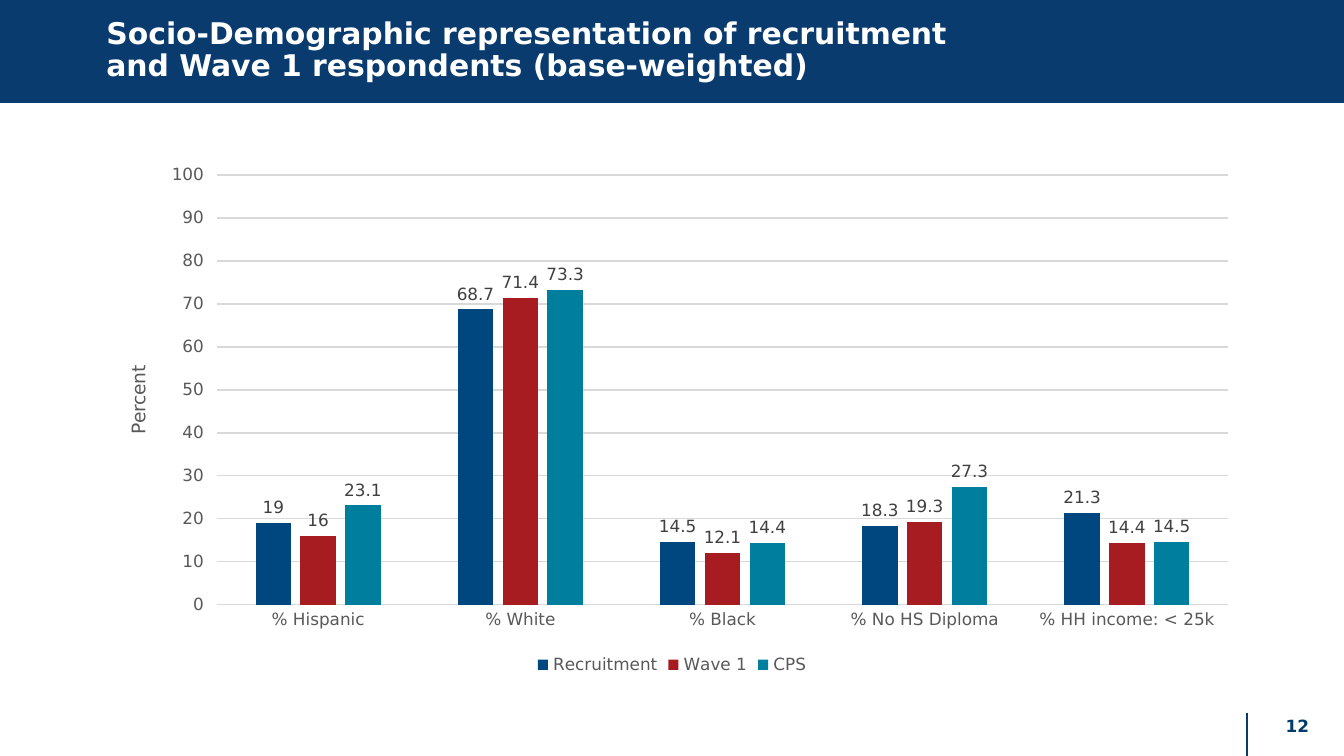
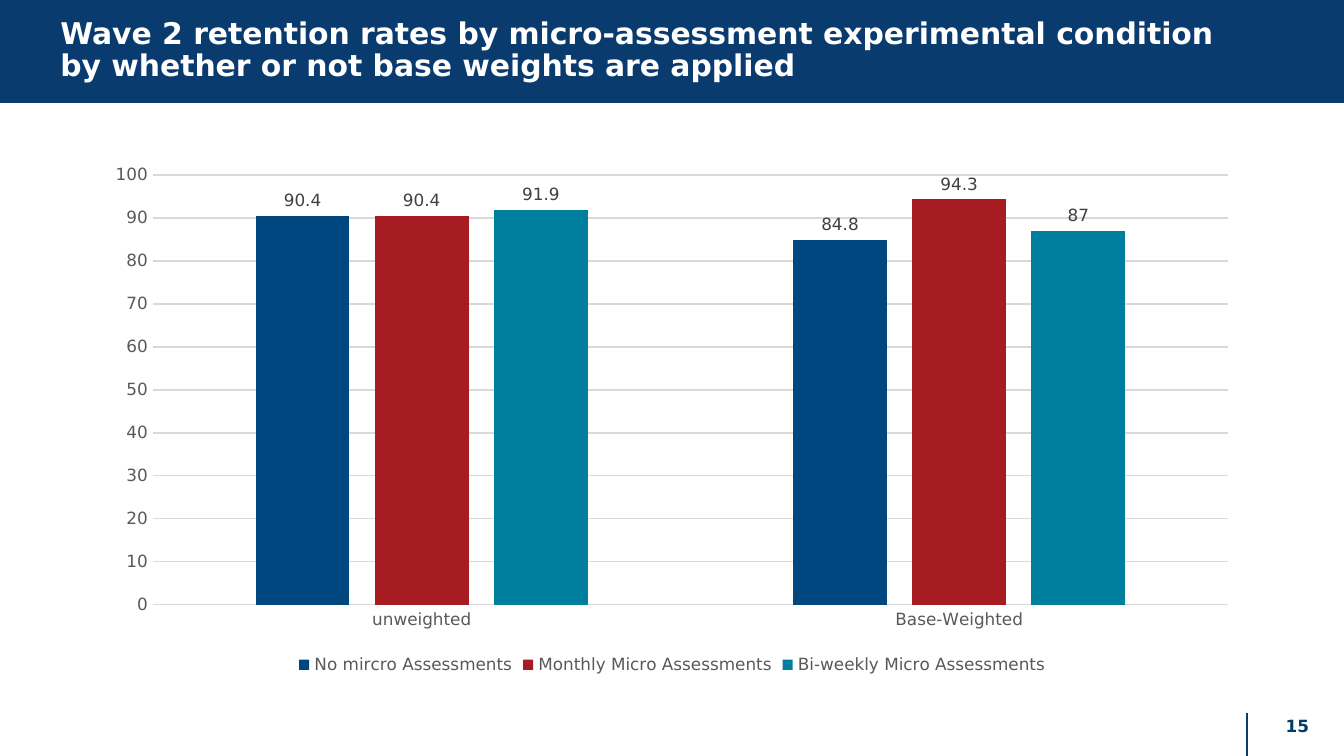
from lxml.etree import SubElement
from pptx import Presentation
from pptx.chart.data import CategoryChartData
from pptx.dml.color import RGBColor
from pptx.enum.chart import XL_CHART_TYPE, XL_LABEL_POSITION, XL_LEGEND_POSITION, XL_TICK_MARK
from pptx.enum.shapes import MSO_CONNECTOR, MSO_SHAPE
from pptx.enum.text import MSO_ANCHOR, MSO_AUTO_SIZE, PP_ALIGN
from pptx.oxml.ns import qn
from pptx.util import Emu, Pt

FONT = "DejaVu Sans"
NAVY = RGBColor(0x0A, 0x3B, 0x6F)
PAGE_BLUE = RGBColor(0x00, 0x3C, 0x68)
WHITE = RGBColor(0xFF, 0xFF, 0xFF)
BLACK = RGBColor(0x00, 0x00, 0x00)
AXIS_GREY = RGBColor(0x59, 0x59, 0x59)
LABEL_GREY = RGBColor(0x40, 0x40, 0x40)
GRID_GREY = RGBColor(0xD9, 0xD9, 0xD9)
SERIES_COLORS = (
    RGBColor(0x00, 0x46, 0x7F),
    RGBColor(0xA7, 0x1C, 0x20),
    RGBColor(0x00, 0x7E, 0x9D),
)

SLIDE_WIDTH, SLIDE_HEIGHT = 1344, 756
CHART_LEFT, CHART_TOP, CHART_WIDTH, CHART_HEIGHT = 93, 155, 1158, 525
PLOT_TOP, PLOT_RIGHT, PLOT_BOTTOM = 175, 1228, 605


def px(length):
    """Turn pixels into EMU."""
    return Emu(round(length * 914400 / 134.4))


def style_font(font, size, color, bold=False):
    """Apply the deck typeface with a size and colour."""
    font.name = FONT
    font.size = Pt(size)
    font.bold = bold
    font.color.rgb = color


def style_line(line, color):
    """Give a line the thin stroke used in the deck."""
    line.color.rgb = color
    line.width = Pt(0.75)


def add_band(slide):
    """Put the navy header band behind the title."""
    band = slide.shapes.add_shape(MSO_SHAPE.RECTANGLE, 0, 0, px(SLIDE_WIDTH), px(103))
    band.shadow.inherit = False
    band.fill.solid()
    band.fill.fore_color.rgb = NAVY
    band.line.fill.background()
    slide.shapes.title.element.addprevious(band.element)


def set_title(slide, lines, left, width):
    """Place and fill the white title, breaking between given lines."""
    title = slide.shapes.title
    title.left, title.top, title.width, title.height = px(left), 0, px(width), px(102)
    frame = title.text_frame
    frame.auto_size = MSO_AUTO_SIZE.NONE
    frame.word_wrap = True
    frame.vertical_anchor = MSO_ANCHOR.MIDDLE
    paragraph = frame.paragraphs[0]
    paragraph.alignment = PP_ALIGN.LEFT
    paragraph.line_spacing = 0.9
    for index, line in enumerate(lines):
        if index:
            paragraph.add_line_break()
        run = paragraph.add_run()
        run.text = line
        style_font(run.font, 16, WHITE, bold=True)


def add_footer(slide, number):
    """Add the divider and page number at the lower right."""
    divider = slide.shapes.add_connector(
        MSO_CONNECTOR.STRAIGHT, px(1247), px(713), px(1247), px(SLIDE_HEIGHT))
    style_line(divider.line, NAVY)
    SubElement(divider.element.spPr, qn("a:effectLst"))
    page = slide.shapes.add_textbox(px(1251), px(706), px(93), px(40))
    frame = page.text_frame
    frame.word_wrap = True
    frame.vertical_anchor = MSO_ANCHOR.MIDDLE
    paragraph = frame.paragraphs[0]
    paragraph.alignment = PP_ALIGN.CENTER
    run = paragraph.add_run()
    run.text = str(number)
    style_font(run.font, 9, PAGE_BLUE, bold=True)


def set_layout(parent, left, top, right=None, bottom=None):
    """Fix a chart part at slide pixels, sized when right and bottom are given."""
    layout = parent.find(qn("c:layout"))
    if layout is None:
        layout = SubElement(parent, qn("c:layout"))
        parent.insert(0, layout)
    settings = [("xMode", "edge"), ("yMode", "edge"),
                ("x", round((left - CHART_LEFT) / CHART_WIDTH, 4)),
                ("y", round((top - CHART_TOP) / CHART_HEIGHT, 4))]
    if right is not None:
        settings.insert(0, ("layoutTarget", "inner"))
        settings += [("w", round((right - left) / CHART_WIDTH, 4)),
                     ("h", round((bottom - top) / CHART_HEIGHT, 4))]
    manual = SubElement(layout, qn("c:manualLayout"))
    for tag, value in settings:
        SubElement(manual, qn(f"c:{tag}")).set("val", str(value))


def add_axis_title(axis, text):
    """Add a rotated title beside the value axis."""
    axis.has_title = True
    frame = axis.axis_title.text_frame
    run = frame.paragraphs[0].add_run()
    run.text = text
    style_font(run.font, 10, AXIS_GREY)
    heading = axis.axis_title.element
    body = heading.find(f".//{qn('a:bodyPr')}")
    body.set("rot", "-5400000")
    body.set("vert", "horz")
    set_layout(heading, 123, 362)


def style_axes(chart, value_tick):
    """Format both axes on a scale of 0 to 100."""
    categories, values = chart.category_axis, chart.value_axis
    for axis, tick in ((categories, XL_TICK_MARK.NONE), (values, value_tick)):
        axis.major_tick_mark = tick
        axis.minor_tick_mark = XL_TICK_MARK.NONE
        style_font(axis.tick_labels.font, 9, AXIS_GREY)
    style_line(categories.format.line, GRID_GREY)
    values.format.line.fill.background()
    values.minimum_scale, values.maximum_scale, values.major_unit = 0, 100, 10
    values.has_major_gridlines = True
    style_line(values.major_gridlines.format.line, GRID_GREY)


def style_series(series, color):
    """Colour a series and show its values above the columns."""
    series.format.fill.solid()
    series.format.fill.fore_color.rgb = color
    series.invert_if_negative = False
    labels = series.data_labels
    labels.show_value = True
    labels.position = XL_LABEL_POSITION.OUTSIDE_END
    style_font(labels.font, 9, LABEL_GREY)


def add_column_chart(slide, categories, groups, plot_left, value_tick):
    """Add a clustered column chart with a legend below it."""
    data = CategoryChartData()
    data.categories = categories
    for name, values in groups.items():
        data.add_series(name, values)
    chart = slide.shapes.add_chart(
        XL_CHART_TYPE.COLUMN_CLUSTERED, px(CHART_LEFT), px(CHART_TOP),
        px(CHART_WIDTH), px(CHART_HEIGHT), data).chart
    style_font(chart.font, 10, BLACK)
    chart.has_title = False
    chart.has_legend = True
    chart.legend.position = XL_LEGEND_POSITION.BOTTOM
    chart.legend.include_in_layout = False
    style_font(chart.legend.font, 9, AXIS_GREY)
    columns = chart.plots[0]
    columns.vary_by_categories = False
    columns.gap_width = 219
    columns.overlap = -27
    for series, color in zip(columns.series, SERIES_COLORS):
        style_series(series, color)
    style_axes(chart, value_tick)
    set_layout(chart.element.find(f".//{qn('c:plotArea')}"),
               plot_left, PLOT_TOP, PLOT_RIGHT, PLOT_BOTTOM)
    return chart


def add_chart_slide(deck, title_lines, title_left, title_width, number):
    """Add a slide with the shared band, title and footer."""
    slide = deck.slides.add_slide(deck.slide_layouts[5])
    add_band(slide)
    set_title(slide, title_lines, title_left, title_width)
    add_footer(slide, number)
    return slide


def main():
    """Build and save the two chart slides."""
    deck = Presentation()
    deck.slide_width, deck.slide_height = px(SLIDE_WIDTH), px(SLIDE_HEIGHT)

    representation = add_chart_slide(
        deck,
        ["Socio-Demographic representation of recruitment",
         "and Wave 1 respondents (base-weighted)"],
        93, 1095, 12)
    demographics = add_column_chart(
        representation,
        ["% Hispanic", "% White", "% Black", "% No HS Diploma", "% HH income: < 25k"],
        {"Recruitment": (19, 68.7, 14.5, 18.3, 21.3),
         "Wave 1": (16, 71.4, 12.1, 19.3, 14.4),
         "CPS": (23.1, 73.3, 14.4, 27.3, 14.5)},
        217, XL_TICK_MARK.OUTSIDE)
    add_axis_title(demographics.value_axis, "Percent")

    retention = add_chart_slide(
        deck,
        ["Wave 2 retention rates by micro-assessment experimental condition "
         "by whether or not base weights are applied"],
        47, 1206, 15)
    add_column_chart(
        retention,
        ["unweighted", "Base-Weighted"],
        {"No mircro Assessments": (90.4, 84.8),
         "Monthly Micro Assessments": (90.4, 94.3),
         "Bi-weekly Micro Assessments": (91.9, 87)},
        153, XL_TICK_MARK.NONE)

    deck.save("out.pptx")


if __name__ == "__main__":
    main()
